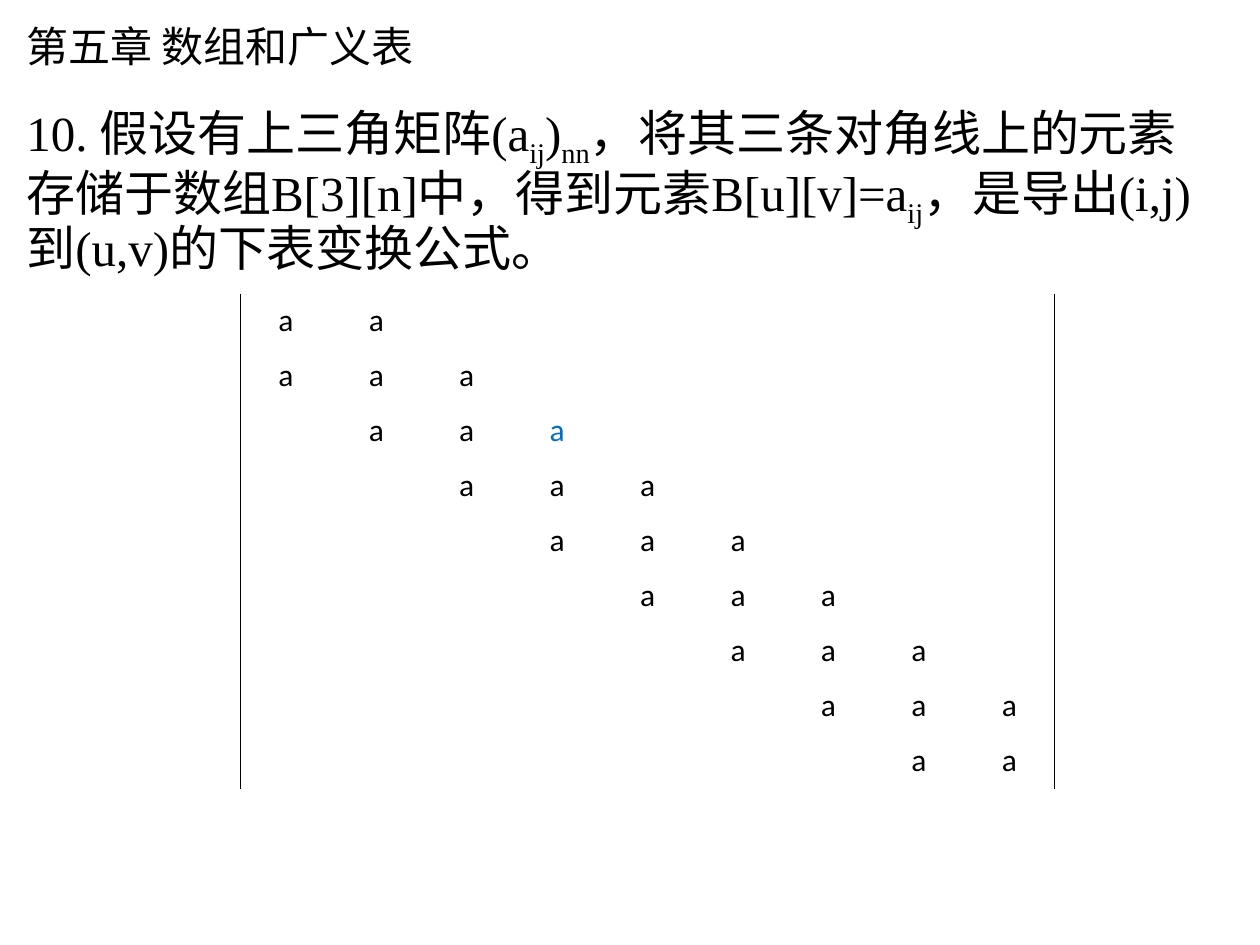
import lxml.etree
import pptx
import pptx.dml.color
import pptx.enum.text
import pptx.oxml
import pptx.oxml.ns
import pptx.util

Inches = pptx.util.Inches
Pt = pptx.util.Pt
BLACK = pptx.dml.color.RGBColor(0x00, 0x00, 0x00)
BLUE = pptx.dml.color.RGBColor(0x00, 0x70, 0xC0)
PLAIN_TABLE = "{2D5ABB26-0587-4C30-8999-92F81FD0307C}"
MIDDLE = pptx.enum.text.MSO_ANCHOR.MIDDLE
ALIGN = pptx.enum.text.PP_ALIGN

ORDER = 9
HIGHLIGHT = (2, 3)
QUESTION = [
    ("10. 假设有上三角矩阵(a", False),
    ("ij", True),
    (")", False),
    ("nn", True),
    ("，将其三条对角线上的元素存储于数组B[3][n]中，得到元素B[u][v]=a", False),
    ("ij", True),
    ("，是导出(i,j)到(u,v)的下表变换公式。", False),
]


class Lesson:
    """Holds the text style and the current page, and adds its elements."""

    def __init__(self, page, font="Times New Roman", table_font="Calibri"):
        self.page = page
        self.font = font
        self.table_font = table_font

    def style(self, para, font, size, align, color=BLACK):
        para.alignment = align
        para.font.name = font
        para.font.size = Pt(size)
        para.font.color.rgb = color

    def place(self, box, left, top, width, height, anchor):
        box.left, box.top = Inches(left), Inches(top)
        box.width, box.height = Inches(width), Inches(height)
        frame = box.text_frame
        frame.auto_size = pptx.enum.text.MSO_AUTO_SIZE.NONE
        frame.word_wrap = True
        frame.vertical_anchor = anchor
        return frame.paragraphs[0]

    def title(self, text, *area):
        para = self.place(self.page.shapes.title, *area, MIDDLE)
        para.text = text
        para.line_spacing = 0.9
        self.style(para, self.font, 24, ALIGN.LEFT)

    def body(self, spans, *area):
        box = self.page.placeholders[1]
        para = self.place(box, *area, pptx.enum.text.MSO_ANCHOR.TOP)
        self.style(para, self.font, 28, ALIGN.LEFT)
        para.line_spacing = 0.9
        para.space_before = Pt(10)
        properties = para._p.get_or_add_pPr()
        properties.set("marL", "0")
        properties.set("indent", "0")
        bullet = pptx.oxml.parse_xml(f"<a:buNone {pptx.oxml.ns.nsdecls('a')}/>")
        properties.find(pptx.oxml.ns.qn("a:defRPr")).addprevious(bullet)
        for text, lowered in spans:
            span = para.add_run()
            span.text = text
            if lowered:
                span._r.get_or_add_rPr().set("baseline", "-25000")

    def border(self, cell, side):
        line = pptx.oxml.parse_xml(
            f'<a:{side} {pptx.oxml.ns.nsdecls("a")} w="12700"><a:solidFill>'
            f'<a:srgbClr val="{BLACK}"/></a:solidFill></a:{side}>'
        )
        cell._tc.get_or_add_tcPr().insert(0, line)

    def band_matrix(self, order, left, top, width, height):
        frame = self.page.shapes.add_table(
            order, order, Inches(left), Inches(top), Inches(width), Inches(height)
        )
        table = frame.table
        table.first_row = table.horz_banding = False
        table._tbl.tblPr.find(pptx.oxml.ns.qn("a:tableStyleId")).text = PLAIN_TABLE
        for row in range(order):
            for column in range(order):
                cell = table.cell(row, column)
                cell.fill.background()
                cell.vertical_anchor = MIDDLE
                para = cell.text_frame.paragraphs[0]
                if abs(row - column) <= 1:
                    para.text = "a"
                color = BLUE if (row, column) == HIGHLIGHT else BLACK
                self.style(para, self.table_font, 18, ALIGN.CENTER, color)
            self.border(table.cell(row, 0), "lnL")
            self.border(table.cell(row, order - 1), "lnR")


deck = pptx.Presentation()
deck.slide_width, deck.slide_height = Inches(10), Inches(7.5)
lesson = Lesson(deck.slides.add_slide(deck.slide_layouts[1]))
lesson.title("第五章 数组和广义表", 0.11, -0.34, 8.62, 1.45)
lesson.body(QUESTION, 0.11, 0.77, 9.71, 6.48)
lesson.band_matrix(ORDER, 1.91, 2.33, 6.46, 3.93)
deck.save("out.pptx")
